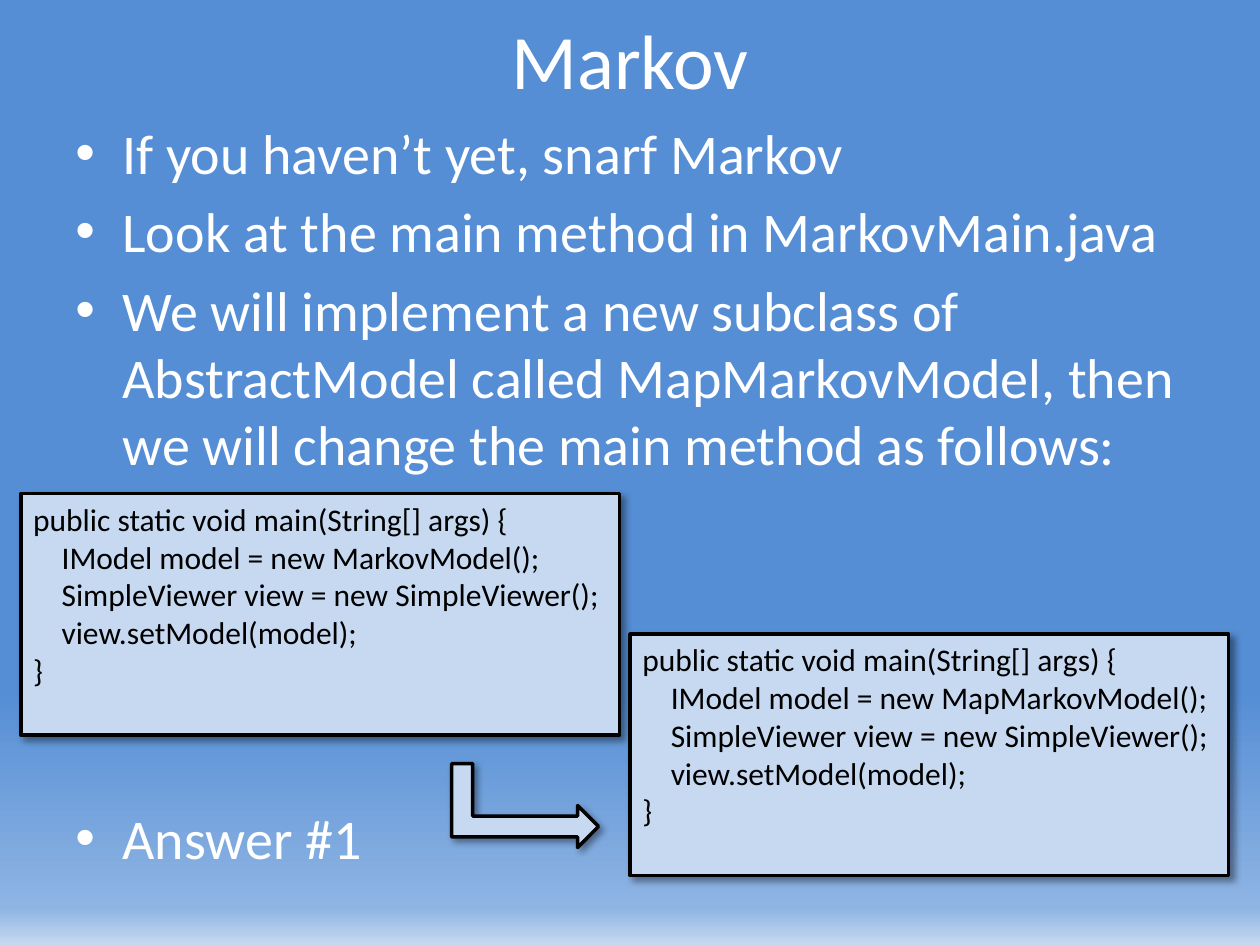
"""Build the Markov slide with its bulleted steps and the two versions of main."""
from dataclasses import dataclass

from copy import deepcopy
from lxml import etree
from pptx import Presentation
from pptx import util as u
from pptx.dml.color import RGBColor
from pptx.enum import shapes, text
from pptx.oxml import ns

WHITE = RGBColor(0xFF, 0xFF, 0xFF)
BLACK = RGBColor(0x00, 0x00, 0x00)
PALE_BLUE = RGBColor(0xC6, 0xD9, 0xF1)
MID_BLUE = RGBColor(0x8E, 0xB4, 0xE3)
DEEP_BLUE = RGBColor(0x55, 0x8E, 0xD5)
GRADIENT = [(0.73, DEEP_BLUE), (0.96, MID_BLUE), (1.0, PALE_BLUE)]

BULLET_GAP = u.Pt(6.4)
ANSWER_GAP = u.Pt(186.5)
INDENT = u.Cm(0.95)


@dataclass(frozen=True)
class Area:
    left: float
    top: float
    width: float
    height: float

    def lengths(self) -> list:
        return [u.Cm(n) for n in (self.left, self.top, self.width, self.height)]


@dataclass(frozen=True)
class Line:
    words: str
    gap: int = 0
    bullet: bool = False


@dataclass(frozen=True)
class TextStyle:
    size: int
    color: RGBColor
    align: text.PP_ALIGN = text.PP_ALIGN.LEFT
    anchor: text.MSO_ANCHOR = text.MSO_ANCHOR.TOP


@dataclass(frozen=True)
class CodeBox:
    area: Area
    model: str


TITLE = TextStyle(44, WHITE, text.PP_ALIGN.CENTER, text.MSO_ANCHOR.MIDDLE)
BODY = TextStyle(32, WHITE)
CODE = TextStyle(18, BLACK)

STEPS = [
    Line("If you haven’t yet, snarf Markov", 0, True),
    Line("Look at the main method in MarkovMain.java", BULLET_GAP, True),
    Line("We will implement a new subclass of AbstractModel called MapMarkovModel, "
         "then we will change the main method as follows:", BULLET_GAP, True),
    Line("Answer #1", ANSWER_GAP, True),
]
CODE_BOXES = [
    CodeBox(Area(0.42, 9.95, 12.07, 4.87), "MarkovModel"),
    CodeBox(Area(12.7, 12.78, 12.07, 4.87), "MapMarkovModel"),
]


def main_method(model: str) -> list[Line]:
    return [Line(words) for words in (
        "public static void main(String[] args) {",
        f"    IModel model = new {model}();",
        "    SimpleViewer view = new SimpleViewer();",
        "    view.setModel(model);",
        "}",
    )]


def assign(target, values: dict) -> None:
    for name, value in values.items():
        setattr(target, name, value)


def add_bullet(para) -> None:
    properties = para._p.get_or_add_pPr()
    assign_indent = {"marL": INDENT, "indent": -INDENT}
    for name, value in assign_indent.items():
        properties.set(name, str(value))
    etree.SubElement(properties, ns.qn("a:buFont"), typeface="Arial")
    etree.SubElement(properties, ns.qn("a:buChar"), char="•")


def write(box, lines: list[Line], style: TextStyle) -> None:
    frame = box.text_frame
    assign(frame, {"word_wrap": True, "vertical_anchor": style.anchor})
    for index, line in enumerate(lines):
        para = frame.add_paragraph() if index else frame.paragraphs[0]
        assign(para, {"alignment": style.align, "space_before": line.gap})
        if line.bullet:
            add_bullet(para)
        span = para.add_run()
        span.text = line.words
        assign(span.font, {"name": "Calibri", "size": u.Pt(style.size)})
        span.font.color.rgb = style.color


def add_text(page, area: Area, lines: list[Line], style: TextStyle) -> None:
    write(page.shapes.add_textbox(*area.lengths()), lines, style)


def add_panel(page, kind: shapes.MSO_SHAPE, area: Area):
    panel = page.shapes.add_shape(kind, *area.lengths())
    panel.fill.solid()
    panel.fill.fore_color.rgb = PALE_BLUE
    panel.line.color.rgb = BLACK
    panel.line.width = u.Pt(2)
    panel.shadow.inherit = False
    effects = panel._element.spPr.find(ns.qn("a:effectLst"))
    shadow = etree.SubElement(
        effects, ns.qn("a:outerShdw"), blurRad=str(u.Pt(4)), dist=str(u.Pt(3)),
        dir="2700000", algn="tl", rotWithShape="0")
    color = etree.SubElement(shadow, ns.qn("a:srgbClr"), val=str(BLACK))
    etree.SubElement(color, ns.qn("a:alpha"), val="40000")
    return panel


def paint_background(page) -> None:
    fill = page.background.fill
    fill.gradient()
    fill.gradient_angle = 270
    stop_list = page.element.find(".//" + ns.qn("a:gsLst"))
    stop_list.append(deepcopy(stop_list[-1]))
    for stop, (position, color) in zip(fill.gradient_stops, GRADIENT):
        stop.position = position
        stop.color.rgb = color


def main() -> None:
    deck = Presentation()
    assign(deck, {"slide_width": u.Cm(25.4), "slide_height": u.Cm(19.05)})
    page = deck.slides.add_slide(deck.slide_layouts[6])
    paint_background(page)
    add_text(page, Area(1.27, 0.1, 22.86, 2.16), [Line("Markov")], TITLE)
    add_text(page, Area(1.27, 2.26, 22.86, 15.39), STEPS, BODY)
    for code in CODE_BOXES:
        panel = add_panel(page, shapes.MSO_SHAPE.RECTANGLE, code.area)
        write(panel, main_method(code.model), CODE)
    arrow = add_panel(page, shapes.MSO_SHAPE.BENT_UP_ARROW, Area(9.74, 14.76, 1.69, 2.96))
    arrow.rotation = 90
    deck.save("out.pptx")


if __name__ == "__main__":
    main()
